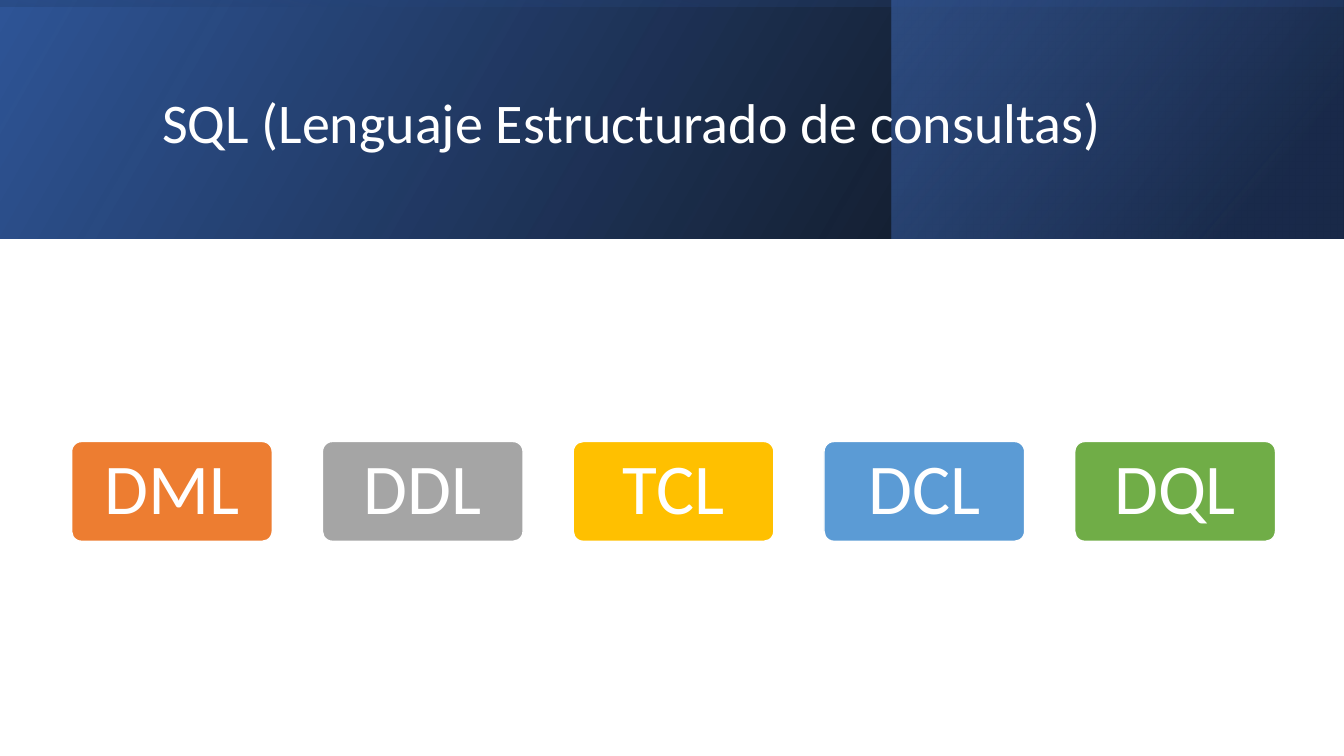
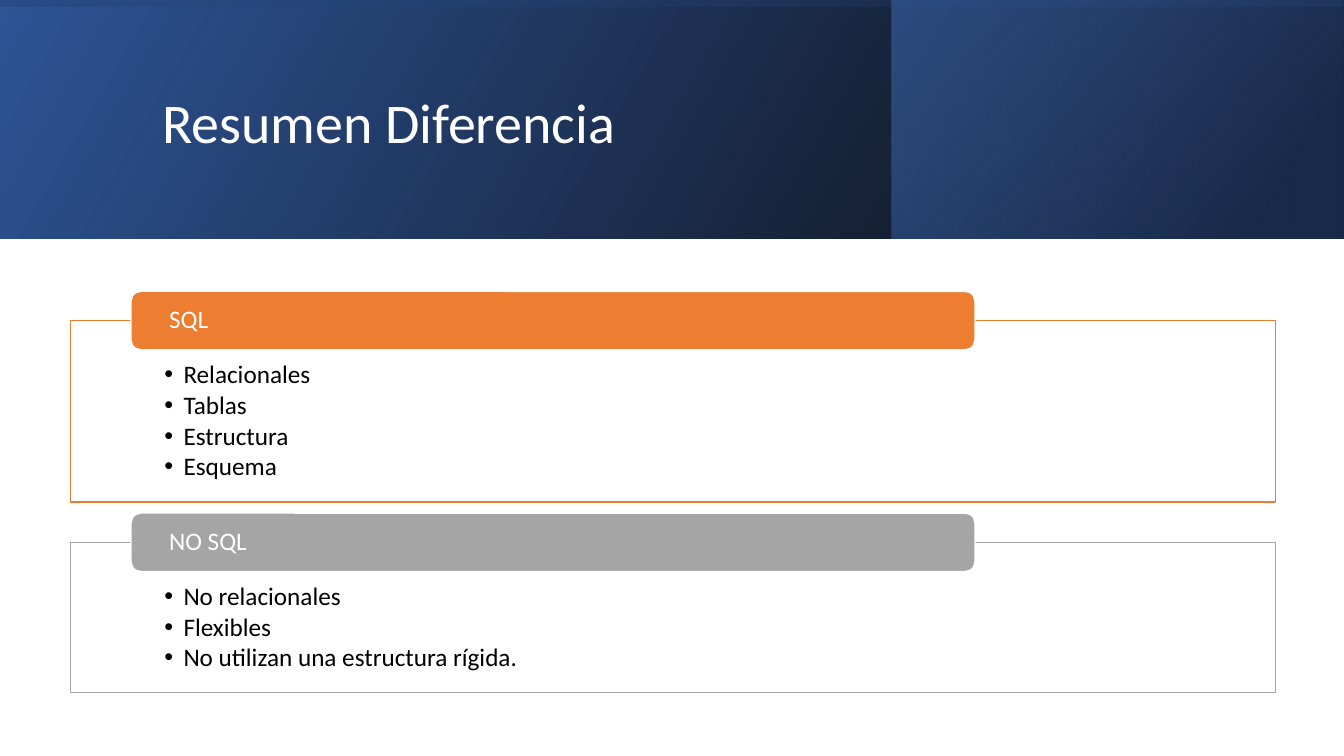
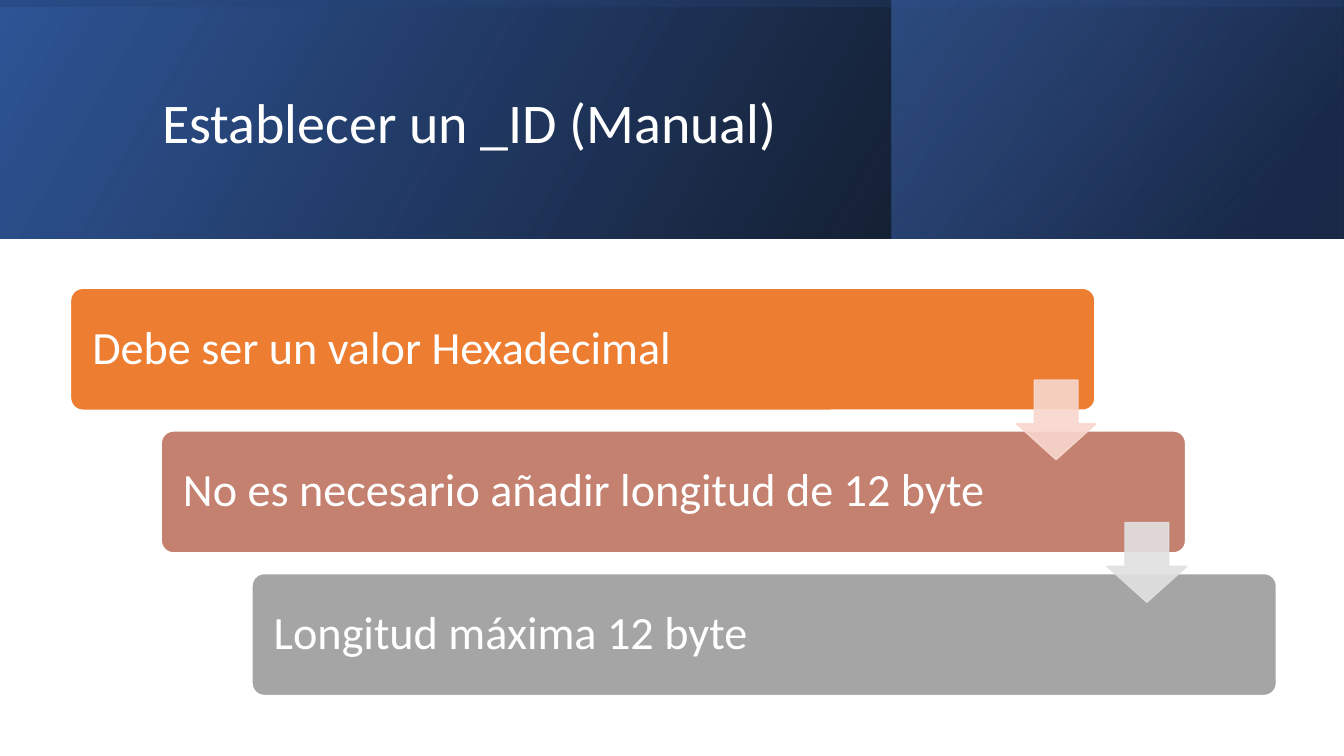
from dataclasses import dataclass

from lxml.etree import SubElement
from pptx import Presentation
from pptx.dml.color import RGBColor
from pptx.enum.shapes import MSO_SHAPE
from pptx.enum.text import MSO_ANCHOR, PP_ALIGN
from pptx.oxml.ns import qn
from pptx.shapes.autoshape import Shape
from pptx.slide import Slide
from pptx.util import Inches, Pt

# Shared style
FONT = "Calibri"
WHITE = RGBColor(0xFF, 0xFF, 0xFF)
BLACK = RGBColor(0x00, 0x00, 0x00)
NAVY = RGBColor(0x20, 0x38, 0x64)
DEEP_BLUE = RGBColor(0x2F, 0x55, 0x97)
ROYAL_BLUE = RGBColor(0x44, 0x72, 0xC4)
ORANGE = RGBColor(0xED, 0x7D, 0x31)
GRAY = RGBColor(0xA5, 0xA5, 0xA5)
YELLOW = RGBColor(0xFF, 0xC0, 0x00)
SKY_BLUE = RGBColor(0x5B, 0x9B, 0xD5)
GREEN = RGBColor(0x70, 0xAD, 0x47)
CLAY = RGBColor(0xC4, 0x81, 0x70)
PALE_ORANGE = RGBColor(0xF8, 0xD7, 0xCE)
PALE_GRAY = RGBColor(0xE1, 0xE1, 0xE1)


@dataclass(frozen=True)
class Frame:
    left: float
    top: float
    width: float
    height: float


@dataclass(frozen=True)
class Stop:
    position: float
    color: RGBColor
    opacity: int = 100


@dataclass(frozen=True)
class Band:
    frame: Frame
    start: Stop
    end: Stop
    angle: int  # counter-clockwise degrees
    rotation: int = 0


@dataclass(frozen=True)
class Block:
    text: str
    color: RGBColor


@dataclass(frozen=True)
class Panel:
    heading: Block
    height: float
    items: tuple[str, ...]


BANDS = (
    Band(Frame(0, 0, 13.33, 2.37), Stop(0, BLACK, 96), Stop(1, DEEP_BLUE), 30),
    Band(Frame(8.84, 0, 4.48, 2.37), Stop(0.19, NAVY, 68), Stop(1, ROYAL_BLUE, 48), 40),
    Band(Frame(5.48, -5.48, 2.37, 13.33), Stop(0.23, DEEP_BLUE, 16),
         Stop(0.99, BLACK, 45), 10, 270),
)
SUBLANGUAGES = (
    Block("DML", ORANGE), Block("DDL", GRAY), Block("TCL", YELLOW),
    Block("DCL", SKY_BLUE), Block("DQL", GREEN),
)
PANELS = (
    Panel(Block("SQL", ORANGE), 1.8, ("Relacionales", "Tablas", "Estructura", "Esquema")),
    Panel(Block("NO SQL", GRAY), 1.49,
          ("No relacionales", "Flexibles", "No utilizan una estructura rígida.")),
)
STEPS = (
    Block("Debe ser un valor Hexadecimal", ORANGE),
    Block("No es necesario añadir longitud de 12 byte", CLAY),
    Block("Longitud máxima 12 byte", GRAY),
)
ARROW_COLORS = (PALE_ORANGE, PALE_GRAY)


# Drawing helpers
def place(frame: Frame) -> tuple[int, int, int, int]:
    return (Inches(frame.left), Inches(frame.top), Inches(frame.width), Inches(frame.height))


def set_opacity(parent, *percents: int) -> None:
    """Give the colours inside an element their opacities, in order."""
    for color, percent in zip(parent.iter(qn("a:srgbClr")), percents):
        if percent < 100:
            SubElement(color, qn("a:alpha"), val=str(percent * 1000))


def add_box(page: Slide, kind: MSO_SHAPE, frame: Frame, fill: RGBColor,
            line: RGBColor = WHITE, adjustments: tuple[float, ...] = ()) -> Shape:
    box = page.shapes.add_shape(kind, *place(frame))
    box.shadow.inherit = False
    box.fill.solid()
    box.fill.fore_color.rgb = fill
    box.line.color.rgb = line
    box.line.width = Pt(1)
    for index, value in enumerate(adjustments):
        box.adjustments[index] = value
    return box


def write(box: Shape, lines: tuple[str, ...], size: float, color: RGBColor = WHITE,
          align: PP_ALIGN = PP_ALIGN.LEFT, anchor: MSO_ANCHOR = MSO_ANCHOR.MIDDLE,
          insets: tuple[float, float, float, float] = (0.1, 0.05, 0.1, 0.05)) -> None:
    """Fill a box with text; insets run left, top, right, bottom."""
    text_frame = box.text_frame
    text_frame.word_wrap = True
    text_frame.vertical_anchor = anchor
    (text_frame.margin_left, text_frame.margin_top,
     text_frame.margin_right, text_frame.margin_bottom) = map(Inches, insets)
    text_frame.text = "\n".join(lines)
    for para in text_frame.paragraphs:
        para.alignment = align
        para.line_spacing = 0.9
        for span in para.runs:
            span.font.name = FONT
            span.font.size = Pt(size)
            span.font.color.rgb = color


def add_bullets(box: Shape) -> None:
    indent = Inches(0.19)
    for para in box.text_frame.paragraphs:
        para.space_after = Pt(2.5)
        properties = para._p.get_or_add_pPr()
        properties.set("marL", str(indent))
        properties.set("indent", str(-indent))
        SubElement(properties, qn("a:buFont"), typeface="Arial")
        SubElement(properties, qn("a:buChar"), char="•")


def add_band(page: Slide, band: Band) -> None:
    box = page.shapes.add_shape(MSO_SHAPE.RECTANGLE, *place(band.frame))
    box.shadow.inherit = False
    box.line.fill.background()
    box.rotation = band.rotation
    box.element.spPr.xfrm.set("flipH", "1")
    box.fill.gradient()
    box.fill.gradient_angle = band.angle
    stops = (band.start, band.end)
    for gradient_stop, stop in zip(box.fill.gradient_stops, stops):
        gradient_stop.position = stop.position
        gradient_stop.color.rgb = stop.color
    set_opacity(box.element.spPr, *(stop.opacity for stop in stops))


def add_page(deck: Presentation, title: str) -> Slide:
    page = deck.slides.add_slide(deck.slide_layouts[6])
    for band in BANDS:
        add_band(page, band)
    box = page.shapes.add_textbox(*place(Frame(1.51, 0.38, 10.63, 1.72)))
    write(box, (title,), 40)
    return page


# Slide contents
def draw_sublanguages(page: Slide) -> None:
    first, last = 0.71, 10.66
    pitch = (last - first) / (len(SUBLANGUAGES) - 1)
    for index, block in enumerate(SUBLANGUAGES):
        frame = Frame(first + index * pitch, 4.38, 1.99, 0.99)
        box = add_box(page, MSO_SHAPE.ROUNDED_RECTANGLE, frame, block.color, adjustments=(0.1,))
        write(box, (block.text,), 51, align=PP_ALIGN.CENTER, insets=(0.14, 0.1, 0.14, 0.1))


def draw_panels(page: Slide) -> None:
    top, gap = 3.18, 0.4
    for panel in PANELS:
        body = add_box(page, MSO_SHAPE.RECTANGLE, Frame(0.7, top, 11.95, panel.height),
                       WHITE, panel.heading.color)
        set_opacity(body.element.spPr.find(qn("a:solidFill")), 90)
        write(body, panel.items, 18, BLACK, anchor=MSO_ANCHOR.TOP,
              insets=(0.93, 0.41, 0.93, 0.14))
        add_bullets(body)
        tab = add_box(page, MSO_SHAPE.ROUNDED_RECTANGLE, Frame(1.3, top - 0.29, 8.37, 0.58),
                      panel.heading.color)
        write(tab, (panel.heading.text,), 18, insets=(0.35, 0, 0.35, 0))
        top += panel.height + gap


def draw_steps(page: Slide) -> None:
    first_top, last_top = 2.86, 5.69
    drop = (last_top - first_top) / (len(STEPS) - 1)
    frames = [Frame(0.7 + 0.9 * index, first_top + drop * index, 10.16, 1.21)
              for index in range(len(STEPS))]
    for block, frame in zip(STEPS, frames):
        bar = add_box(page, MSO_SHAPE.ROUNDED_RECTANGLE, frame, block.color, adjustments=(0.1,))
        write(bar, (block.text,), 33, insets=(0.18, 0.18, 0.18, 0.18))
    # Arrows hang over the lower right corner of each bar but the last
    for color, frame in zip(ARROW_COLORS, frames):
        spot = Frame(frame.left + 9.38, frame.top + 0.91, 0.79, 0.79)
        arrow = add_box(page, MSO_SHAPE.DOWN_ARROW, spot, color, color, (0.55, 0.45))
        set_opacity(arrow.element.spPr, 90, 90)


def main() -> None:
    deck = Presentation()
    deck.slide_width, deck.slide_height = Inches(13.33), Inches(7.5)
    draw_sublanguages(add_page(deck, "SQL (Lenguaje Estructurado de consultas)"))
    draw_panels(add_page(deck, "Resumen Diferencia"))
    draw_steps(add_page(deck, "Establecer un _ID (Manual)"))
    deck.save("out.pptx")


if __name__ == "__main__":
    main()
